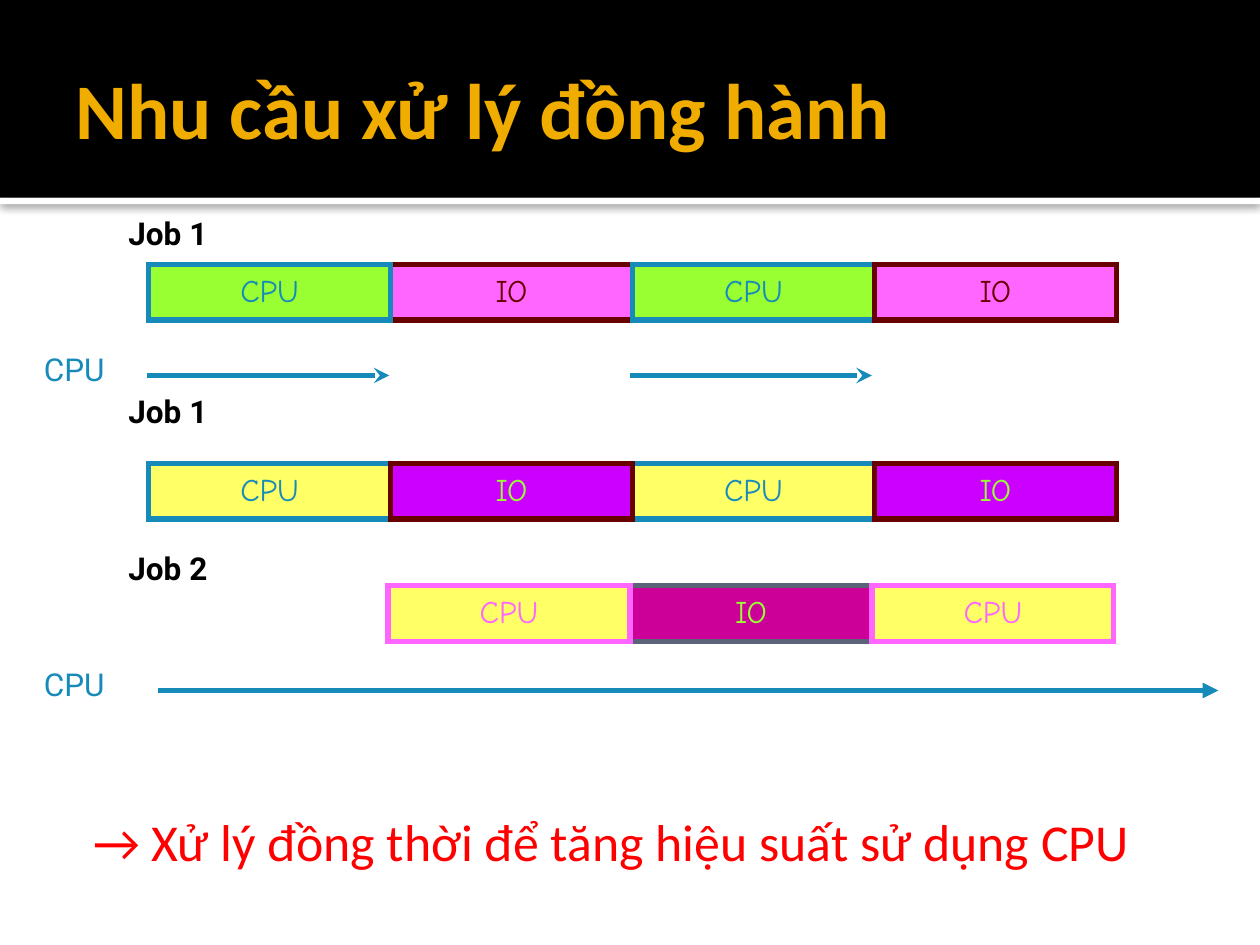
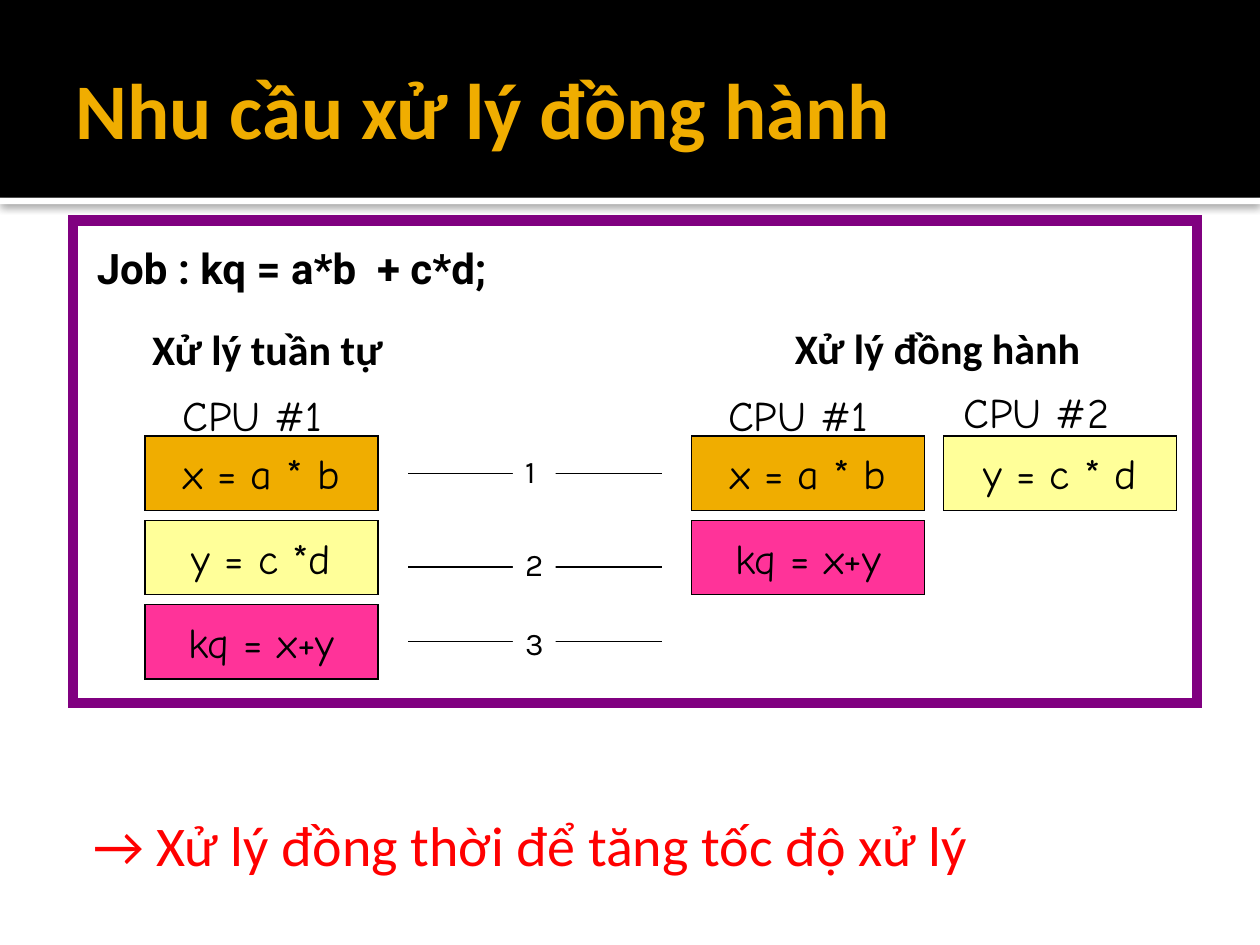
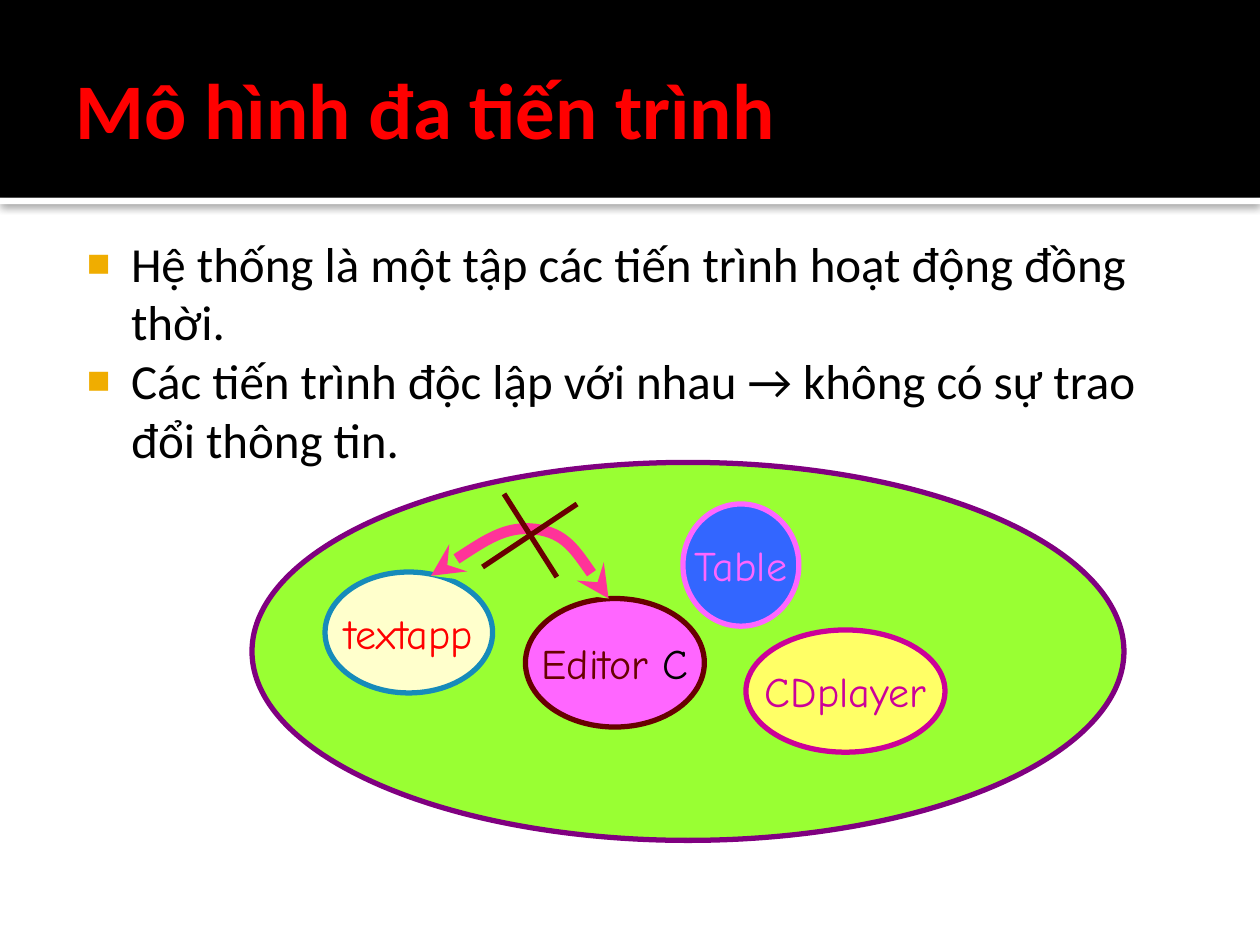
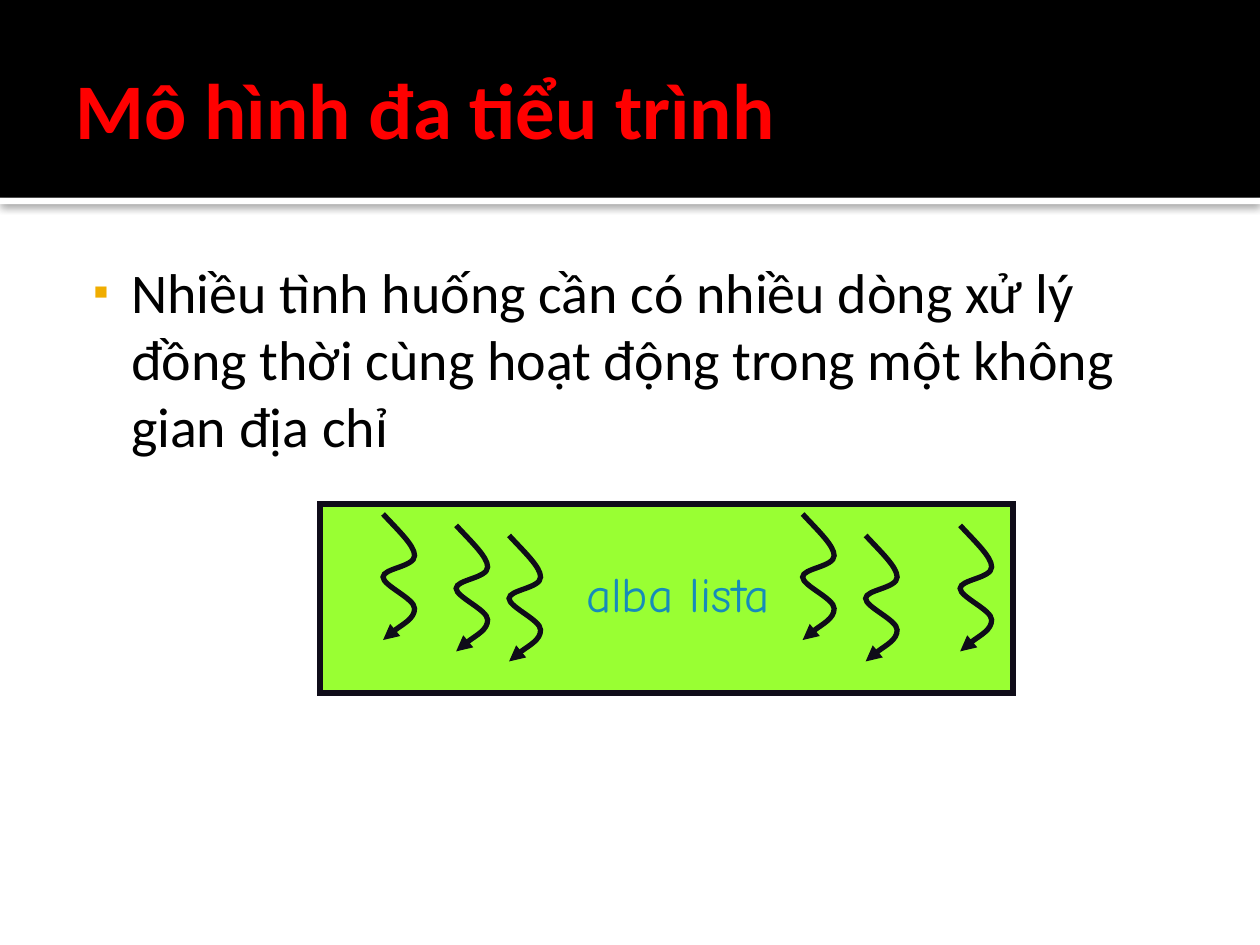
import pptx
import pptx.util
import pptx.dml.color
import pptx.enum.shapes
import pptx.enum.text
import pptx.oxml
import pptx.oxml.ns

Inches = pptx.util.Inches
Pt = pptx.util.Pt
RGB = pptx.dml.color.RGBColor
SHAPE = pptx.enum.shapes.MSO_SHAPE
ANCHOR = pptx.enum.text.MSO_ANCHOR
ALIGN = pptx.enum.text.PP_ALIGN
FIT = pptx.enum.text.MSO_AUTO_SIZE
qn = pptx.oxml.ns.qn

# Colours
BLACK = RGB(0x00, 0x00, 0x00)
WHITE = RGB(0xFF, 0xFF, 0xFF)
GOLD = RGB(0xF0, 0xAD, 0x00)
RED = RGB(0xFF, 0x00, 0x00)
BLUE = RGB(0x16, 0x8B, 0xBA)
ROYAL = RGB(0x33, 0x66, 0xFF)
GREEN = RGB(0x99, 0xFF, 0x33)
PINK = RGB(0xFF, 0x66, 0xFF)
ROSE = RGB(0xFF, 0x33, 0x99)
MAROON = RGB(0x68, 0x00, 0x00)
YELLOW = RGB(0xFF, 0xFF, 0x66)
PALE = RGB(0xFF, 0xFF, 0x99)
CREAM = RGB(0xFF, 0xFF, 0xCC)
VIOLET = RGB(0xCC, 0x00, 0xFF)
PURPLE = RGB(0x80, 0x00, 0x80)
PLUM = RGB(0xCC, 0x00, 0x99)
SLATE = RGB(0x5A, 0x63, 0x78)
INK = RGB(0x0F, 0x0C, 0x19)

# Fonts
SANS = "Calibri"
COMIC = "Comic Neue"
ROBOT = "Roboto"
KARLA = "Karla"


def add_xml(parent, text):
    head, rest = text.split(" ", 1)
    node = pptx.oxml.parse_xml(f"{head} {pptx.oxml.ns.nsdecls('a')} {rest}")
    parent.append(node)
    return node


def style(run, size, font, color, bold=False):
    run.font.size = Pt(size)
    run.font.name = font
    run.font.bold = bold
    run.font.color.rgb = color


def write(shape, text, size, font, color, bold=False, align=ALIGN.LEFT):
    shape.text_frame.text = text
    for para in shape.text_frame.paragraphs:
        para.alignment = align
        for run in para.runs:
            style(run, size, font, color, bold)


def place(shape, box):
    shape.left, shape.top, shape.width, shape.height = map(Inches, box)


def inset(frame, left, top, right, bottom):
    frame.margin_left, frame.margin_top = Inches(left), Inches(top)
    frame.margin_right, frame.margin_bottom = Inches(right), Inches(bottom)


def paint(shape, fill=None, line=None, width=3):
    shape.shadow.inherit = False
    if fill is None:
        shape.fill.background()
    else:
        shape.fill.solid()
        shape.fill.fore_color.rgb = fill
    if line is None:
        shape.line.fill.background()
    else:
        shape.line.color.rgb = line
        shape.line.width = Pt(width)
        add_xml(shape.element.spPr.find(qn("a:ln")), '<a:miter lim="800000"/>')


def add_box(slide, box, fill=None, line=None, width=3, kind=SHAPE.RECTANGLE):
    shape = slide.shapes.add_shape(kind, *map(Inches, box))
    paint(shape, fill, line, width)
    return shape


def add_cell(slide, box, text, fill, line, color, size=24, width=3,
             kind=SHAPE.RECTANGLE, anchor=ANCHOR.MIDDLE):
    """Filled shape with one centred line of text."""
    shape = add_box(slide, box, fill, line, width, kind)
    shape.text_frame.vertical_anchor = anchor
    shape.text_frame.word_wrap = False
    write(shape, text, size, COMIC, color, align=ALIGN.CENTER)
    return shape


def add_label(slide, box, text, size, font, color, bold=False):
    shape = slide.shapes.add_textbox(*map(Inches, box))
    write(shape, text, size, font, color, bold)
    shape.text_frame.word_wrap = False
    shape.text_frame.auto_size = FIT.SHAPE_TO_FIT_TEXT
    return shape


def add_tips(shape, head=None, tail=None):
    ln = shape.element.spPr.find(qn("a:ln"))
    for tag, tip in (("headEnd", head), ("tailEnd", tail)):
        if tip:
            add_xml(ln, f'<a:{tag} type="{tip}"/>')


def add_line(slide, start, end, color, width=3, tail=None):
    line = slide.shapes.add_connector(
        pptx.enum.shapes.MSO_CONNECTOR.STRAIGHT, *map(Inches, start + end))
    line.line.color.rgb = color
    line.line.width = Pt(width)
    add_tips(line, tail=tail)
    add_xml(line.element.spPr, "<a:effectLst />")


def add_curve(slide, start, bends, color, width, head=None, tail=None):
    """Open path of cubic bends, each given as two controls and an end."""
    form = slide.shapes.build_freeform(*map(Inches, start))
    form.add_line_segments(
        [tuple(map(Inches, knot)) for bend in bends for knot in bend], close=False)
    shape = form.convert_to_shape()
    # Join each three straight segments into one cubic bend
    lines = list(shape.element.iter(qn("a:lnTo")))
    route = lines[0].getparent()
    for first in range(0, len(lines), 3):
        cubic = add_xml(route, "<a:cubicBezTo />")
        for line in lines[first:first + 3]:
            cubic.append(line[0])
            route.remove(line)
    paint(shape, GREEN, color, width)
    add_tips(shape, head, tail)


def set_master(deck, slide):
    """Move the title bands to the master and place its title."""
    master = deck.slide_master
    strip = add_box(slide, (0, 1.57, 10, 0.05), WHITE)
    props = strip.element.spPr
    props.remove(props.find(qn("a:effectLst")))
    add_xml(props, '<a:effectLst ><a:outerShdw blurRad="63500" dist="10160" '
            'dir="5400000"><a:srgbClr val="000000"><a:alpha val="60000"/>'
            '</a:srgbClr></a:outerShdw></a:effectLst>')
    band = add_box(slide, (0, 0, 10, 1.57), BLACK)
    for shape in (band, strip):
        master.shapes.element.insert(2, shape.element)
    for shape in master.placeholders:
        if shape.placeholder_format.type == pptx.enum.shapes.PP_PLACEHOLDER.TITLE:
            place(shape, (0.5, 0.17, 9, 1.37))


def add_slide(deck, title, color):
    slide = deck.slides.add_slide(deck.slide_layouts[1])
    head = slide.shapes.title
    write(head, title, 45, SANS, color, True)
    frame = head.text_frame
    frame.vertical_anchor = ANCHOR.MIDDLE
    frame.auto_size = FIT.NONE
    inset(frame, 0.1, 0.05, 0.05, 0.05)
    return slide


def fill_body(slide, box, lines, size, color=BLACK, mark=None,
              indent=0.18, hang=0):
    body = slide.placeholders[1]
    place(body, box)
    write(body, "\n".join(lines), size, SANS, color)
    body.text_frame.auto_size = FIT.NONE
    inset(body.text_frame, 0.06, 0.1, 0.1, 0.05)
    for para in body.text_frame.paragraphs:
        para.space_before = Pt(0)
        props = para._p.get_or_add_pPr()
        props.set("marL", str(Inches(indent)))
        props.set("indent", str(Inches(-hang)))
        if mark:
            add_xml(props, f'<a:buClr ><a:srgbClr val="{GOLD}"/></a:buClr>')
            add_xml(props, '<a:buSzPct val="80000"/>')
            add_xml(props, '<a:buFont typeface="Arial"/>')
            add_xml(props, f'<a:buChar char="{mark}"/>')
        else:
            add_xml(props, "<a:buNone />")


def end_note(slide, text, size):
    fill_body(slide, (0.5, 6.33, 9, 0.67), [text], size, RED)


def draw_jobs(slide):
    step = 1.92
    end_note(slide, "→ Xử lý đồng thời để tăng hiệu suất sử dụng CPU", 29.6)

    # Job bars: left, top, kinds of block, drawing order
    lime = ("CPU", GREEN, BLUE, BLUE)
    pink = ("IO", PINK, MAROON, MAROON)
    sun = ("CPU", YELLOW, BLUE, BLUE)
    grape = ("IO", VIOLET, MAROON, GREEN)
    blush = ("CPU", YELLOW, PINK, PINK)
    plum = ("IO", PLUM, SLATE, GREEN)
    rows = ((1.18, 2.1, (lime, pink) * 2, (1, 2, 3, 0)),
            (1.18, 3.68, (sun, grape) * 2, (0, 2, 3, 1)),
            (3.08, 4.65, (blush, plum, blush), (1, 2, 0)))
    for left, top, blocks, order in rows:
        for spot in order:
            add_cell(slide, (left + spot * step, top, step, 0.44),
                     *blocks[spot], size=18, anchor=ANCHOR.TOP)
    for top, name in ((1.65, "Job 1"), (3.06, "Job 1"), (4.31, "Job 2")):
        add_label(slide, (0.92, top, 1.01, 0.44), name, 18, ROBOT, BLACK, True)

    # CPU time lines
    for top in (2.73, 5.23):
        add_label(slide, (0.25, top, 0.79, 0.44), "CPU", 18, ROBOT, BLUE)
    for left in (1.17, 5):
        add_line(slide, (left, 2.98), (left + step, 2.98), BLUE, tail="stealth")
    add_line(slide, (1.25, 5.48), (9.67, 5.48), BLUE, tail="triangle")


def draw_sums(slide):
    end_note(slide, "→ Xử lý đồng thời để tăng tốc độ xử lý", 32)
    job = add_label(slide, (0.67, 1.92, 8.45, 0.61), "Job : kq = a*b  + c*d;",
                    24, ROBOT, BLACK, True)
    job.text_frame.word_wrap = True
    job.text_frame.auto_size = FIT.NONE
    job.text_frame.paragraphs[0].line_spacing = 0.9
    job.text_frame.paragraphs[0].space_before = Pt(4.8)

    # Headings
    for left, top, wide, text in ((1.11, 2.52, 2.14, "Xử lý tuần tự"),
                                  (6.21, 2.51, 2.59, "Xử lý đồng hành")):
        add_label(slide, (left, top, wide, 0.5), text, 24, SANS, BLACK, True)
    for left, top, wide, text in ((1.35, 3.04, 1.31, "CPU #1"),
                                  (5.68, 3.04, 1.31, "CPU #1"),
                                  (7.55, 3.02, 1.37, "CPU #2")):
        add_label(slide, (left, top, wide, 0.45), text, 24, COMIC, BLACK)

    # Steps run by each CPU
    stacks = ((1.15, (("x = a * b", GOLD), ("y = c *d", PALE), ("kq = x+y", ROSE))),
              (5.49, (("x = a * b", GOLD), ("kq = x+y", ROSE))),
              (7.49, (("y = c * d", PALE),)))
    for left, cells in stacks:
        for row, (text, fill) in enumerate(cells):
            add_cell(slide, (left, 3.46 + row * 0.67, 1.85, 0.59), text,
                     fill, BLACK, BLACK, width=0.75)

    # Numbered time marks
    for mark, (level, top) in enumerate(((3.76, 3.54), (4.5, 4.28), (5.09, 4.9)), 1):
        add_line(slide, (3.24, level), (5.25, level), BLACK, 0.75)
        tag = add_label(slide, (4.07, top, 0.34, 0.39), str(mark), 18, KARLA, BLACK)
        tag.fill.solid()
        tag.fill.fore_color.rgb = WHITE

    add_box(slide, (0.58, 1.75, 8.92, 3.83), line=PURPLE, width=6)


def draw_tasks(slide):
    fill_body(slide, (0.5, 1.75, 8.92, 5.33), [
        "Hệ thống là một tập các tiến trình hoạt động đồng thời.",
        "Các tiến trình độc lập với nhau → không có sự trao đổi thông tin.",
    ], 28, mark="■", indent=0.48, hang=0.35)

    # System and its tasks
    add_box(slide, (2, 3.67, 6.92, 3), GREEN, PURPLE, kind=SHAPE.OVAL)
    tasks = (((2.58, 4.54, 1.33, 0.96), "textapp", CREAM, BLUE, RED),
             ((4.17, 4.75, 1.42, 1.02), "Editor", PINK, MAROON, MAROON),
             ((5.92, 5, 1.58, 0.97), "CDplayer", YELLOW, PLUM, PLUM),
             ((5.42, 4, 0.92, 0.97), "Table", ROYAL, PINK, PINK))
    ovals = [add_cell(slide, *task, kind=SHAPE.OVAL) for task in tasks]
    run = ovals[1].text_frame.paragraphs[0].add_run()
    run.text = " C"
    style(run, 24, COMIC, BLACK)

    # Crossed-out link
    add_curve(slide, (3.42, 4.57), (
        ((3.72, 4.37), (4.01, 4.17), (4.25, 4.2)),
        ((4.49, 4.23), (4.66, 4.49), (4.83, 4.75)),
    ), ROSE, 6.25, "stealth", "stealth")
    add_line(slide, (4, 3.92), (4.42, 4.58), MAROON)
    add_line(slide, (3.83, 4.5), (4.58, 4), MAROON)


def draw_threads(slide):
    fill_body(slide, (0.5, 1.94, 9, 5.06), [
        "Nhiều tình huống cần có nhiều dòng xử lý đồng thời cùng hoạt động "
        "trong một không gian địa chỉ",
    ], 32, mark="▪", indent=0.48, hang=0.3)
    add_box(slide, (2.54, 4, 5.5, 1.5), GREEN, INK)
    add_cell(slide, (4.44, 4.42, 1.88, 0.57), "alba lista", GREEN, None, BLUE, 28)

    # Threads share one wave, moved to each start
    wave = (((0.12, 0.13), (0.25, 0.25), (0.25, 0.33)),
            ((0.25, 0.42), (0, 0.43), (0, 0.5)),
            ((0, 0.57), (0.25, 0.67), (0.25, 0.75)),
            ((0.25, 0.83), (0.04, 0.95), (0, 1)))
    for left, top in ((3.04, 4.08), (3.62, 4.17), (7.62, 4.17),
                      (6.87, 4.25), (6.37, 4.08), (4.04, 4.25)):
        bends = [tuple((left + x, top + y) for x, y in bend) for bend in wave]
        add_curve(slide, (left, top), bends, INK, 3, tail="triangle")


def main():
    deck = pptx.Presentation()
    deck.slide_width, deck.slide_height = Inches(10), Inches(7.5)
    pages = (("Nhu cầu xử lý đồng hành", GOLD, draw_jobs),
             ("Nhu cầu xử lý đồng hành", GOLD, draw_sums),
             ("Mô hình đa tiến trình", RED, draw_tasks),
             ("Mô hình đa tiểu trình", RED, draw_threads))
    for title, color, draw in pages:
        draw(add_slide(deck, title, color))
    set_master(deck, deck.slides[0])
    deck.save("out.pptx")


if __name__ == "__main__":
    main()
